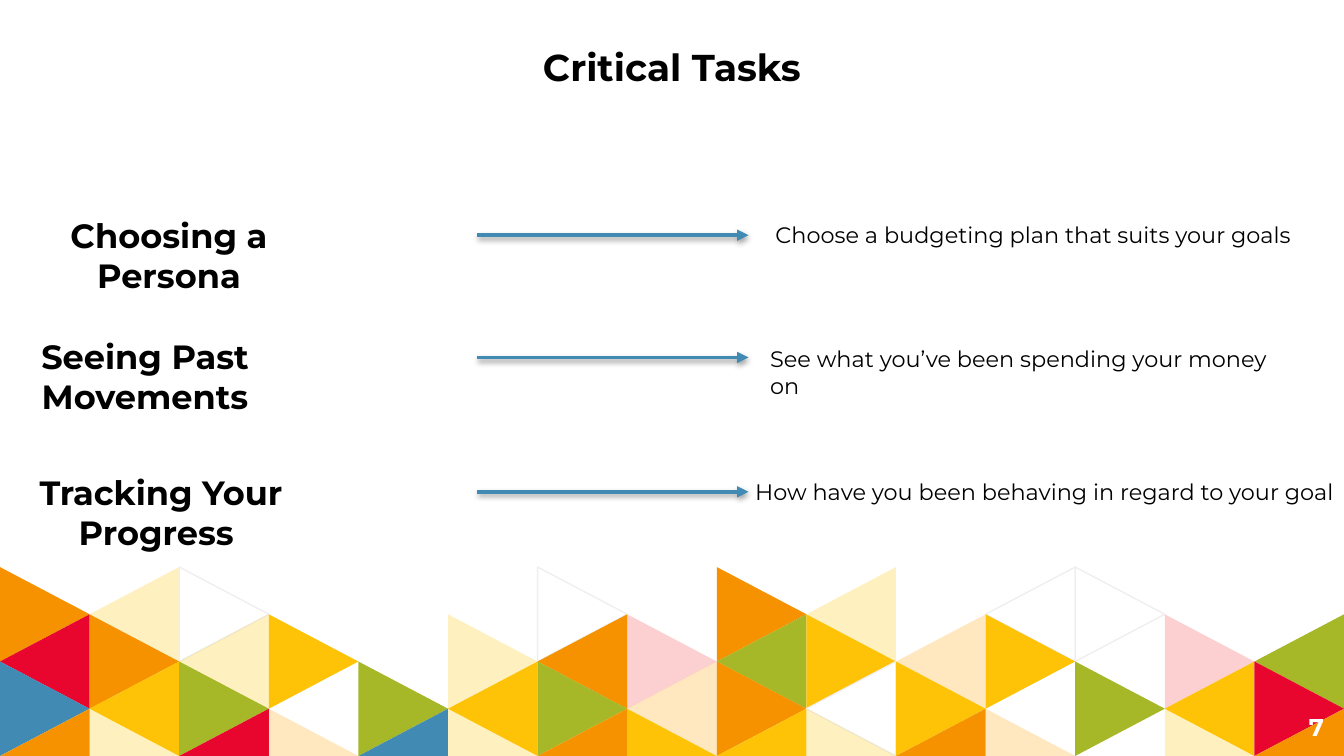
from lxml.etree import SubElement as Sub
from pptx import Presentation
from pptx.dml.color import RGBColor as Rgb
from pptx.enum.shapes import MSO_CONNECTOR as Conn
from pptx.enum.text import MSO_ANCHOR as Anchor, PP_ALIGN as Align
from pptx.oxml.ns import qn
from pptx.util import Pt

TITLE = "Critical Tasks"
PAGE = "7"
TASKS = [
    dict(head="Choosing a Persona", box=(34.5, 111.6, 182), fit=108, line=126,
         note="Choose a budgeting plan that suits your goals", spot=(411.8, 115.2, 284)),
    dict(head="Seeing Past Movements", box=(18.7, 176.4, 214.5), fit=114, line=191.5,
         note="See what you’ve been spending your money on", spot=(409, 181.4, 292)),
    dict(head="Tracking Your Progress ", box=(18, 249.1, 214.5), fit=132.5, line=263.5,
         note="How have you been behaving in regard to your goal", spot=(401, 252.7, 319)),
]
MOSAIC = [
    "ocw...w.oc.ww..",
    "rocy.cokgypy.kg",
    "byg.gygpowy.gyr",
    "ocrpbcoyycop.co",
]
PAINT = {
    "o": ("F69200", 100), "y": ("FEC306", 100), "r": ("E8062F", 100),
    "g": ("A6B727", 100), "b": ("418AB3", 100), "w": ("FFFFFF", 100),
    "c": ("FFC800", 25), "p": ("FFA400", 25), "k": ("F64646", 25),
}
FONT = "Montserrat"
WIDE, HIGH = 720, 405
CELL, STEP = 48, 25.3
TOP = HIGH - STEP * len(MOSAIC)


def tint(fmt, code):
    fmt.solid()
    fmt.fore_color.rgb = Rgb.from_string(code)


def write(shape, text, size=12, bold=False, color="000000", align=Align.LEFT,
          anchor=Anchor.TOP, wrap=False, pad=(3.6, 3.6, 3.6, 3.6)):
    frame = shape.text_frame
    frame.word_wrap = wrap
    frame.vertical_anchor = anchor
    frame.margin_left, frame.margin_top, frame.margin_right, frame.margin_bottom = map(Pt, pad)
    para = frame.paragraphs[0]
    para.alignment = align
    run = para.add_run()
    run.text = text
    run.font.name, run.font.size, run.font.bold = FONT, Pt(size), bold
    tint(run.font.fill, color)


def add_box(slide, x, y, w, h):
    return slide.shapes.add_textbox(Pt(x), Pt(y), Pt(w), Pt(h))


def add_tile(slide, col, row, key):
    left, right = col * CELL, (col + 1) * CELL
    base, tip = (left, right) if (col + row) % 2 == 0 else (right, left)
    y = TOP + row * STEP
    low = min(y + 2 * STEP, HIGH)
    pen = slide.shapes.build_freeform(Pt(base), Pt(y))
    pen.add_line_segments([(Pt(base), Pt(low)), (Pt(tip), Pt(y + STEP))])
    tile = pen.convert_to_shape()
    tile.shadow.inherit = False
    code, alpha = PAINT[key]
    tint(tile.fill, code)
    if alpha < 100:
        color = tile.fill._xPr.find(qn("a:solidFill"))[0]
        Sub(color, qn("a:alpha"), val=str(alpha * 1000))
    if key == "w":
        tint(tile.line.fill, "EFEFEF")
        tile.line.width = Pt(0.75)
    else:
        tile.line.fill.background()


def add_arrow(slide, y):
    arrow = slide.shapes.add_connector(Conn.STRAIGHT, Pt(255.8), Pt(y), Pt(401), Pt(y))
    tint(arrow.line.fill, "418AB3")
    arrow.line.width = Pt(2)
    Sub(arrow.line._get_or_add_ln(), qn("a:tailEnd"), type="triangle")
    glow = Sub(arrow._element.spPr, qn("a:effectLst"))
    shade = Sub(glow, qn("a:outerShdw"), blurRad=str(Pt(3)), dist=str(Pt(1.6)),
                dir="5400000", rotWithShape="0")
    color = Sub(shade, qn("a:srgbClr"), val="000000")
    Sub(color, qn("a:alpha"), val="38000")


def main():
    deck = Presentation()
    deck.slide_width, deck.slide_height = Pt(WIDE), Pt(HIGH)
    slide = deck.slides.add_slide(deck.slide_layouts[5])

    for row, keys in enumerate(MOSAIC):
        for col, key in enumerate(keys):
            if key != ".":
                add_tile(slide, col, row, key)

    title = slide.shapes.title
    title.left, title.top, title.width, title.height = Pt(0), Pt(0), Pt(WIDE), Pt(54.7)
    write(title, TITLE, size=20, bold=True, align=Align.CENTER,
          anchor=Anchor.BOTTOM, wrap=True, pad=(7.2,) * 4)
    write(add_box(slide, 694, 374.4, 22.3, 30.2), PAGE, size=13, bold=True,
          color="FFFFFF", align=Align.RIGHT, anchor=Anchor.MIDDLE, pad=(7.2,) * 4)

    for task in TASKS:
        width = task["box"][2]
        write(add_box(slide, *task["box"], 29.5), task["head"], size=18, bold=True,
              align=Align.CENTER, wrap=True, pad=(2, 3.6, width - 2 - task["fit"], 3.6))
        write(add_box(slide, *task["spot"], 21.6), task["note"])
        add_arrow(slide, task["line"])

    deck.save("out.pptx")


if __name__ == "__main__":
    main()
